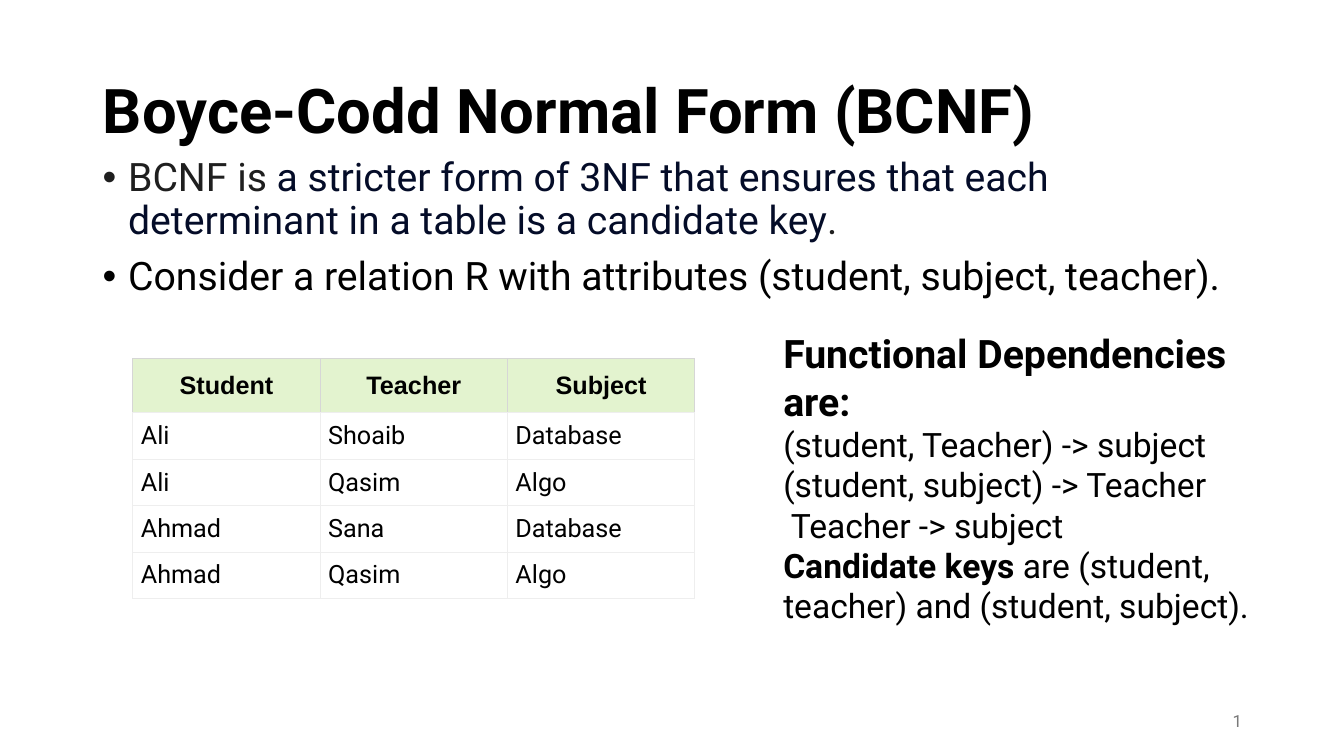
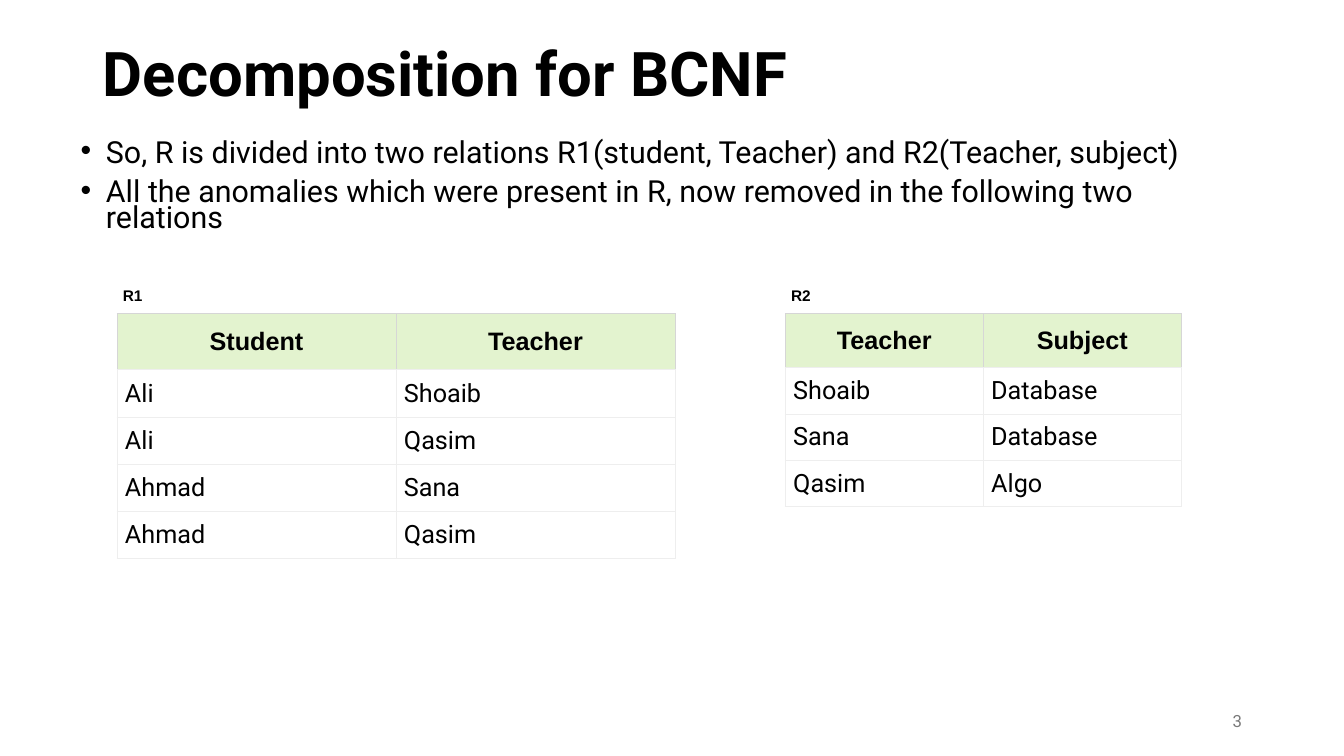
from lxml.etree import SubElement
from pptx import Presentation
from pptx.dml.color import RGBColor
from pptx.enum.text import MSO_ANCHOR, MSO_AUTO_SIZE, PP_ALIGN
from pptx.oxml.ns import qn
from pptx.util import Cm, Pt

# Shared style
BLACK, WHITE, GRAY = "000000", "FFFFFF", "797979"
DARK, NAVY = "1F1F1F", "040C28"
HEADER_FILL, HEADER_LINE, CELL_LINE = "E3F3CF", "D6D6D6", "EEEEEE"
BODY_FONT, LABEL_FONT = "Roboto", "Arial"
LEFT, WIDTH = 2.34, 29.21


def set_font(font, size, color=BLACK, bold=False, name=BODY_FONT):
    font.size, font.bold, font.name = Pt(size), bold, name
    font.color.rgb = RGBColor.from_string(color)


def add_relation(slide, left, top, column_width, header_height, row_height, rows):
    columns = len(rows[0])
    height = header_height + row_height * (len(rows) - 1)
    table = slide.shapes.add_table(len(rows), columns, Cm(left), Cm(top),
                                   Cm(column_width * columns), Cm(height)).table
    table.horz_banding = False
    for column in table.columns:
        column.width = Cm(column_width)
    for row_index, values in enumerate(rows):
        header = row_index == 0
        table.rows[row_index].height = Cm(header_height if header else row_height)
        for column_index, value in enumerate(values):
            cell = table.cell(row_index, column_index)
            cell.text = value
            cell.vertical_anchor = MSO_ANCHOR.MIDDLE
            cell.margin_left = cell.margin_right = Cm(0.25 if header else 0.2)
            cell.margin_top = cell.margin_bottom = Cm(0.3 if header else 0.2)
            paragraph = cell.text_frame.paragraphs[0]
            paragraph.alignment = PP_ALIGN.CENTER if header else PP_ALIGN.LEFT
            set_font(paragraph.font, 18, bold=header,
                     name=LABEL_FONT if header else BODY_FONT)
            # Borders go before the fill
            properties = cell._tc.get_or_add_tcPr()
            for side in ("lnL", "lnR", "lnT", "lnB"):
                line = SubElement(properties, qn(f"a:{side}"), w=str(Pt(0.75)))
                fill = SubElement(line, qn("a:solidFill"))
                color = HEADER_LINE if header and side != "lnB" else CELL_LINE
                SubElement(fill, qn("a:srgbClr"), val=color)
            cell.fill.solid()
            cell.fill.fore_color.rgb = RGBColor.from_string(
                HEADER_FILL if header else WHITE)


presentation = Presentation()
presentation.slide_width, presentation.slide_height = Cm(33.87), Cm(19.05)

# Title, title top, number, bullet box (left, top, height), size, spacing, bullets
outlines = [
    ("Boyce-Codd Normal Form (BCNF)", 1.66, "1", (LEFT, 3.86, 4.45), 28, 0.9, [
        [("BCNF is ", DARK),
         ("a stricter form of 3NF that ensures that each determinant "
          "in a table is a candidate key", NAVY),
         (".", DARK)],
        [("Consider a relation R with attributes (student, subject, teacher).", BLACK)],
    ]),
    ("Decomposition for BCNF", 0.73, "3", (1.78, 3.48, 2.79), 21.7, 0.7, [
        [("So, R is divided into two relations R1(student, Teacher) "
          "and R2(Teacher, subject)", BLACK)],
        [("All the anomalies which were present in R, now removed in the "
          "following two relations", BLACK)],
    ]),
]

slides = []
for title_text, title_top, number, box, size, spacing, bullets in outlines:
    slide = presentation.slides.add_slide(presentation.slide_layouts[5])
    slides.append(slide)

    # Title
    title = slide.shapes.title
    title.left, title.top = Cm(LEFT), Cm(title_top)
    title.width, title.height = Cm(WIDTH), Cm(2.4)
    title.text_frame.text = title_text
    title.text_frame.auto_size = MSO_AUTO_SIZE.NONE
    title.text_frame.vertical_anchor = MSO_ANCHOR.MIDDLE
    paragraph = title.text_frame.paragraphs[0]
    paragraph.alignment, paragraph.line_spacing = PP_ALIGN.LEFT, 0.9
    set_font(paragraph.font, 44, bold=True)

    # Bullets
    left, top, height = box
    frame = slide.shapes.add_textbox(Cm(left), Cm(top), Cm(WIDTH), Cm(height)).text_frame
    frame.word_wrap = True
    for index, runs in enumerate(bullets):
        paragraph = frame.add_paragraph() if index else frame.paragraphs[0]
        paragraph.line_spacing = spacing
        if index:
            paragraph.space_before = Pt(10)
        properties = paragraph._p.get_or_add_pPr()
        properties.set("marL", str(Cm(0.64)))
        properties.set("indent", str(-Cm(0.64)))
        SubElement(properties, qn("a:buFont"), typeface=LABEL_FONT)
        SubElement(properties, qn("a:buChar"), char="•")
        for text, color in runs:
            run = paragraph.add_run()
            run.text = text
            set_font(run.font, size, color)

    # Slide number
    frame = slide.shapes.add_textbox(Cm(23.93), Cm(17.65), Cm(7.62), Cm(1.02)).text_frame
    frame.text = number
    frame.word_wrap = True
    frame.vertical_anchor = MSO_ANCHOR.MIDDLE
    frame.paragraphs[0].alignment = PP_ALIGN.RIGHT
    set_font(frame.paragraphs[0].font, 12, GRAY)

normal_form, decomposition = slides

# Relation R
add_relation(normal_form, 3.35, 9.04, 4.72, 1.34, 1.17, [
    ("Student", "Teacher", "Subject"),
    ("Ali", "Shoaib", "Database"),
    ("Ali", "Qasim", "Algo"),
    ("Ahmad", "Sana", "Database"),
    ("Ahmad", "Qasim", "Algo"),
])

# Functional dependencies: runs of text, size, bold
dependencies = [
    [("Functional Dependencies are:", 28, True)],
    [("(student, Teacher) -> subject", 24, False)],
    [("(student, subject) -> Teacher", 24, False)],
    [(" Teacher -> subject", 24, False)],
    [("Candidate keys ", 24, True),
     ("are (student, teacher) and (student, subject).", 24, False)],
]
frame = normal_form.shapes.add_textbox(Cm(19.74), Cm(8.08), Cm(12.09), Cm(8.2)).text_frame
frame.word_wrap = True
frame.margin_left = frame.margin_right = 0
frame.margin_top = frame.margin_bottom = Cm(0.23)
for index, runs in enumerate(dependencies):
    paragraph = frame.add_paragraph() if index else frame.paragraphs[0]
    for text, size, bold in runs:
        run = paragraph.add_run()
        run.text = text
        set_font(run.font, size, bold=bold)

# Relations R1 and R2 with their labels
relations = [
    ("R1", 2.95, 7.03, 1.42, 1.19, [
        ("Student", "Teacher"), ("Ali", "Shoaib"), ("Ali", "Qasim"),
        ("Ahmad", "Sana"), ("Ahmad", "Qasim")]),
    ("R2", 19.79, 4.99, 1.35, 1.17, [
        ("Teacher", "Subject"), ("Shoaib", "Database"),
        ("Sana", "Database"), ("Qasim", "Algo")]),
]
for name, left, column_width, header_height, row_height, rows in relations:
    add_relation(decomposition, left, 7.9, column_width, header_height, row_height, rows)
    label = decomposition.shapes.add_textbox(Cm(left), Cm(7.21), Cm(0.79), Cm(0.48))
    label.fill.solid()
    label.fill.fore_color.rgb = RGBColor.from_string(WHITE)
    frame = label.text_frame
    frame.text = name
    frame.word_wrap = True
    frame.vertical_anchor = MSO_ANCHOR.MIDDLE
    frame.margin_left = frame.margin_right = frame.margin_top = frame.margin_bottom = 0
    frame.paragraphs[0].alignment = PP_ALIGN.CENTER
    set_font(frame.paragraphs[0].font, 11, bold=True, name=LABEL_FONT)

presentation.save("out.pptx")
